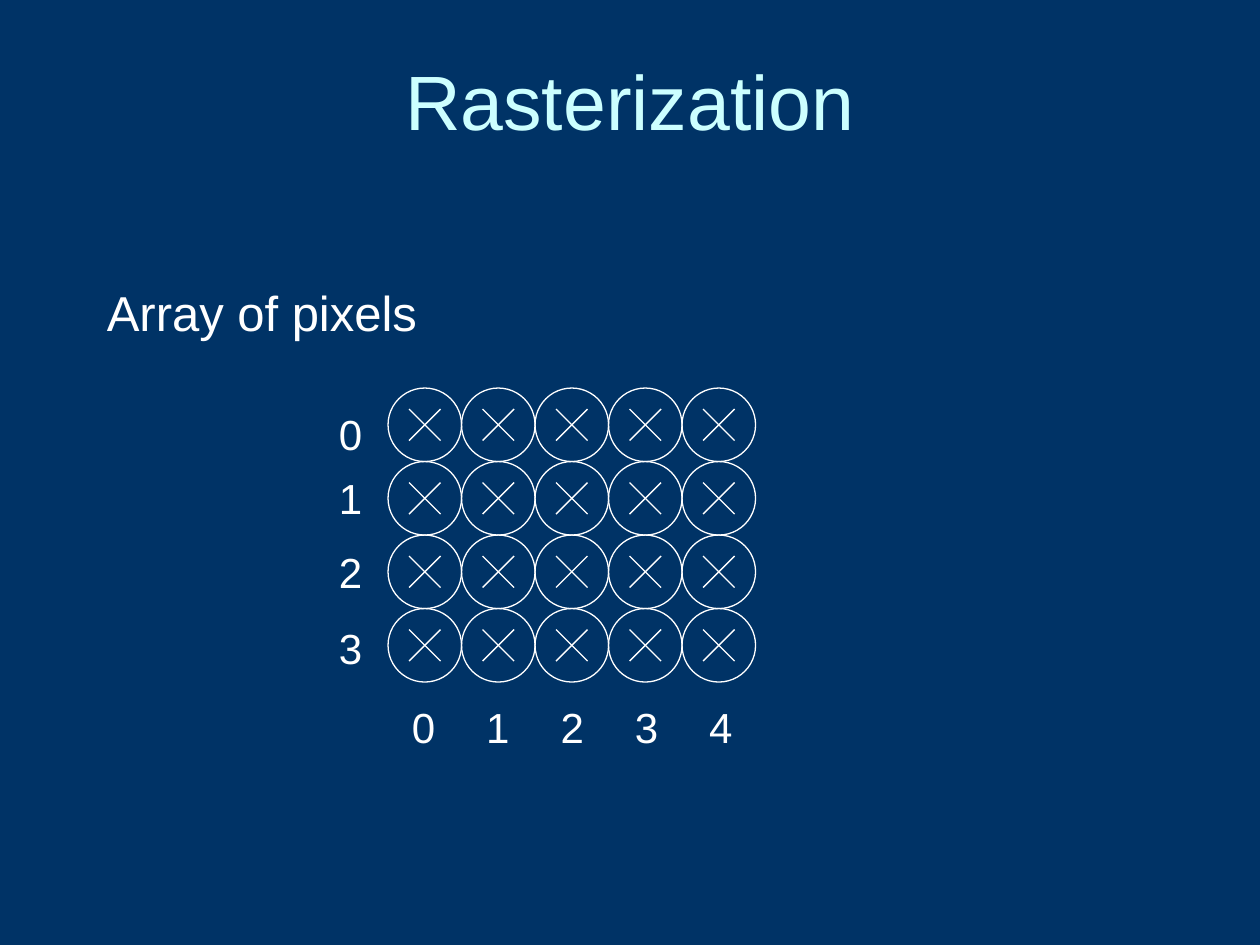
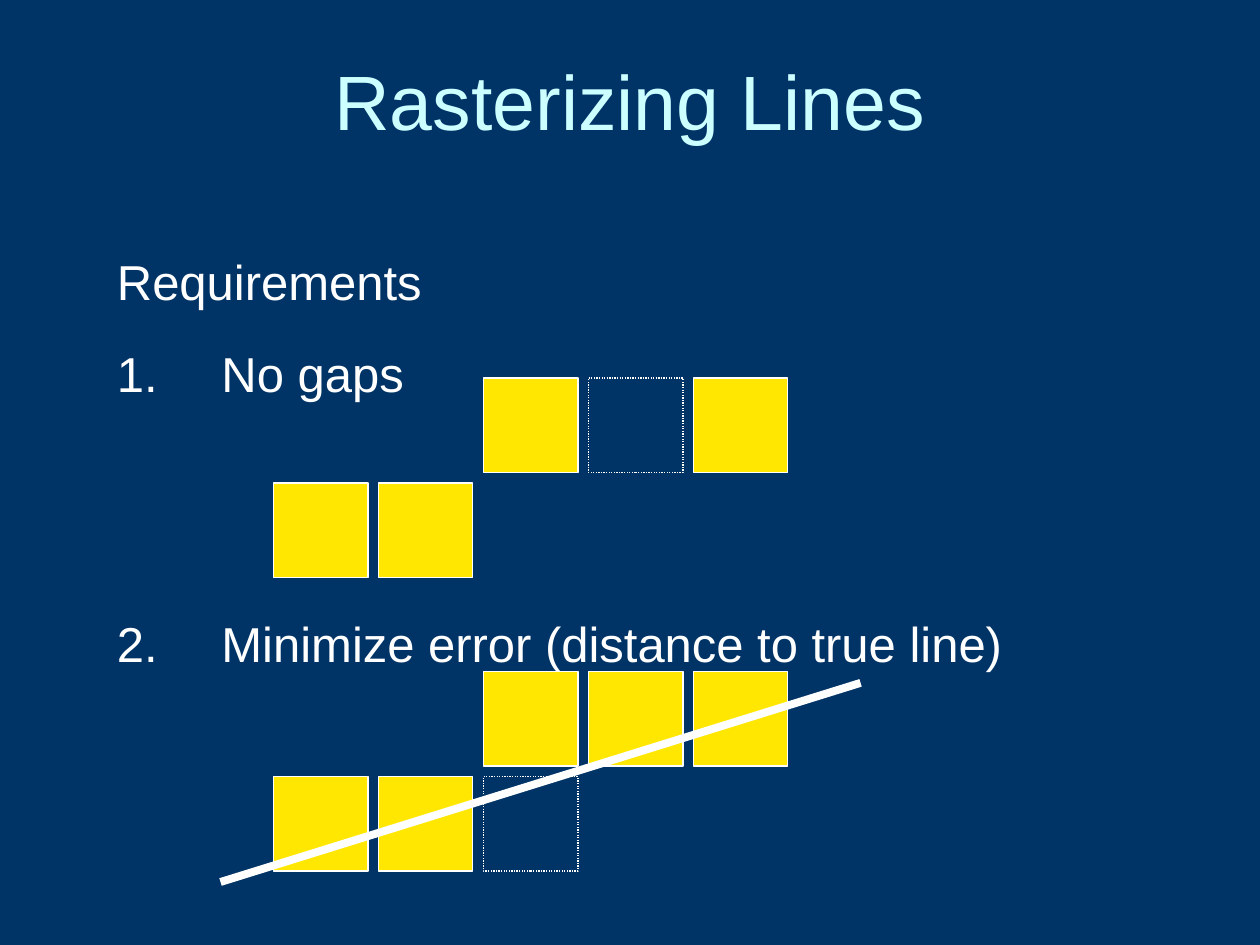
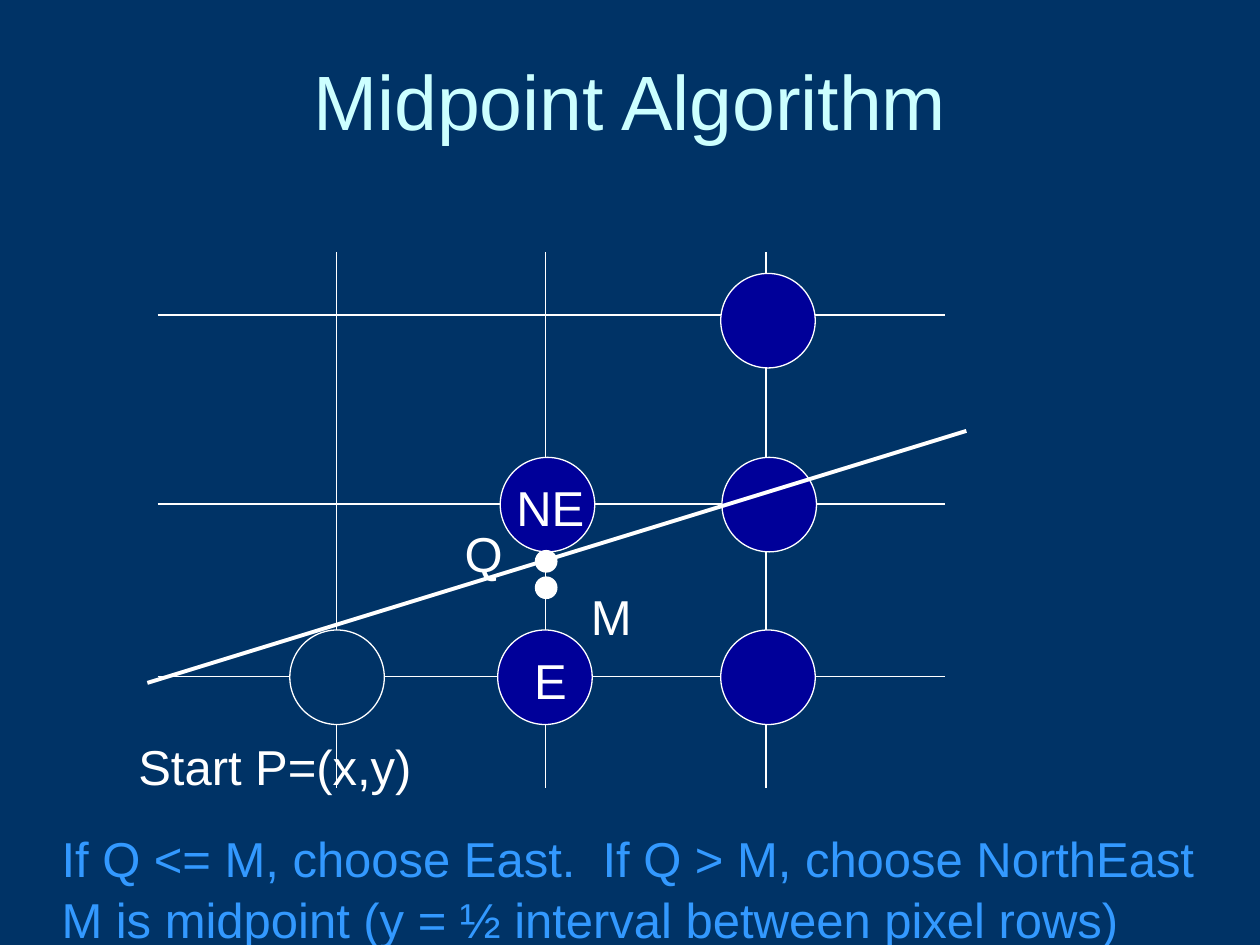
from dataclasses import dataclass

from lxml import etree
from pptx import Presentation
from pptx.dml.color import RGBColor
from pptx.enum.dml import MSO_LINE
from pptx.enum.shapes import MSO_CONNECTOR, MSO_SHAPE
from pptx.enum.text import MSO_ANCHOR, MSO_AUTO_SIZE, PP_ALIGN
from pptx.oxml.ns import qn
from pptx.util import Inches, Pt

ELLIPSE = MSO_SHAPE.OVAL
SQUARE = MSO_SHAPE.RECTANGLE
STRAIGHT = MSO_CONNECTOR.STRAIGHT
DOTTED = MSO_LINE.ROUND_DOT
CENTER = PP_ALIGN.CENTER
LEFT = PP_ALIGN.LEFT
MIDDLE = MSO_ANCHOR.MIDDLE
TOP = MSO_ANCHOR.TOP
FIT_SHAPE = MSO_AUTO_SIZE.SHAPE_TO_FIT_TEXT
NO_FIT = MSO_AUTO_SIZE.NONE


@dataclass(frozen=True)
class Theme:
    font: str = "Arial"
    background: str = "003366"
    title: str = "CCFFFF"
    ink: str = "FFFFFF"
    rule: str = "3399FF"
    lit: str = "FFE701"
    candidate: str = "000099"
    title_size: float = 44
    body_size: float = 28
    index_size: float = 24
    line_spacing: float = 1.05
    thin: float = 0.75
    medium: float = 2.25
    thick: float = 4.5


THEME = Theme()


def color(value):
    return RGBColor.from_string(value)


def write_text(frame, text, size=THEME.body_size, ink=THEME.ink, align=LEFT,
               anchor=TOP, wrap=False, fit=FIT_SHAPE, before=(), numbered=(), indent=0):
    frame.word_wrap = wrap
    frame.auto_size = fit
    frame.vertical_anchor = anchor
    for index, line in enumerate(text.split("\n")):
        paragraph = frame.add_paragraph() if index else frame.paragraphs[0]
        paragraph.alignment = align
        paragraph.line_spacing = THEME.line_spacing
        if before:
            paragraph.space_before = Pt(before[index])
        if index in numbered:
            properties = paragraph._p.get_or_add_pPr()
            properties.set("marL", str(Inches(indent)))
            properties.set("indent", str(-Inches(indent)))
            bullet = etree.SubElement(properties, qn("a:buAutoNum"))
            bullet.set("type", "arabicPeriod")
        run = paragraph.add_run()
        run.text = line
        run.font.name = THEME.font
        run.font.size = Pt(size)
        run.font.color.rgb = color(ink)


class Deck:
    def __init__(self, theme):
        self.theme = theme
        self.presentation = Presentation()
        self.presentation.slide_width = Inches(10)
        self.presentation.slide_height = Inches(7.5)
        fill = self.presentation.slide_master.background.fill
        fill.solid()
        fill.fore_color.rgb = color(theme.background)
        self.shapes = None

    def new_slide(self, heading):
        layout = self.presentation.slide_layouts.get_by_name("Title Only")
        self.shapes = self.presentation.slides.add_slide(layout).shapes
        title = self.shapes.title
        title.left, title.top = Inches(0.5), Inches(0.3)
        title.width, title.height = Inches(9), Inches(0.95)
        write_text(title.text_frame, heading, size=self.theme.title_size,
                   ink=self.theme.title, align=CENTER, anchor=MIDDLE, wrap=True, fit=NO_FIT)

    def text(self, text, left, top, width, height, **text_format):
        box = self.shapes.add_textbox(Inches(left), Inches(top), Inches(width), Inches(height))
        write_text(box.text_frame, text, **text_format)

    def shape(self, kind, left, top, size, fill=None, dash=None):
        shape = self.shapes.add_shape(kind, Inches(left), Inches(top), Inches(size), Inches(size))
        shape.shadow.inherit = False
        if fill:
            shape.fill.solid()
            shape.fill.fore_color.rgb = color(fill)
        else:
            shape.fill.background()
        shape.line.color.rgb = color(self.theme.ink)
        shape.line.width = Pt(self.theme.thin)
        if dash:
            shape.line.dash_style = dash

    def line(self, x1, y1, x2, y2, width=THEME.thin):
        line = self.shapes.add_connector(STRAIGHT, Inches(x1), Inches(y1), Inches(x2), Inches(y2))
        line.line.color.rgb = color(self.theme.ink)
        line.line.width = Pt(width)
        etree.SubElement(line._element.spPr, qn("a:effectLst"))

    def crossed_pixel(self, left, top, size):
        page = self.shapes
        self.shapes = page.add_group_shape().shapes
        near, far = size * 2 / 7, size * 5 / 7
        self.shape(ELLIPSE, left, top, size)
        self.line(left + near, top + far, left + far, top + near)
        self.line(left + near, top + near, left + far, top + far)
        self.shapes = page

    def squares(self, cells, left, top, fill=None, dash=None):
        pitch = 5 / 6
        for column, row in cells:
            self.shape(SQUARE, left + column * pitch, top + row * pitch, 0.75, fill, dash)


def rasterization(deck):
    deck.new_slide("Rasterization")
    deck.text("Array of pixels", 0.75, 2.17, 8.75, 0.75, wrap=True, fit=NO_FIT)
    pitch = 7 / 12
    for row in range(4):
        for column in range(5):
            deck.crossed_pixel(3.08 + column * pitch, 3.08 + row * pitch, pitch)
    for row, top in enumerate((3.17, 3.68, 4.27, 4.87)):
        deck.text(str(row), 2.59, top, 0.38, 0.5, size=deck.theme.index_size)
    for column in range(5):
        deck.text(str(column), 3.17 + column * 0.59, 5.5, 0.38, 0.5, size=deck.theme.index_size)


def rasterizing_lines(deck):
    deck.new_slide("Rasterizing Lines")
    deck.text("Requirements\nNo gaps\nMinimize error (distance to true line)",
              0.83, 1.92, 8.33, 3.41, wrap=True, before=(0, 17.5, 119),
              numbered=(1, 2), indent=0.83)
    left, gap_top, error_top = 2.17, 3, 5.33
    lit = deck.theme.lit
    deck.squares([(0, 1), (1, 1), (2, 0), (3, 0), (4, 0)], left, error_top, fill=lit)
    deck.squares([(0, 1), (1, 1), (2, 0), (4, 0)], left, gap_top, fill=lit)
    deck.squares([(3, 0)], left, gap_top, dash=DOTTED)
    deck.line(1.75, 7, 6.83, 5.42, deck.theme.thick)
    deck.squares([(2, 1)], left, error_top, dash=DOTTED)


def midpoint_algorithm(deck):
    deck.new_slide("Midpoint Algorithm")
    theme = deck.theme
    for y in (2.5, 4, 5.37):
        deck.line(1.25, y, 7.5, y)
    for x in (2.67, 4.33, 6.08):
        deck.line(x, 2, x, 6.25)
    for left, top in ((5.72, 2.17), (3.97, 3.63), (5.73, 3.63), (3.95, 5), (5.72, 5)):
        deck.shape(ELLIPSE, left, top, 0.75, theme.candidate)
    deck.shape(ELLIPSE, 2.3, 5, 0.75, theme.background)
    deck.line(1.17, 5.42, 7.67, 3.42, theme.medium)
    for top in (4.37, 4.58):
        deck.shape(ELLIPSE, 4.25, top, 0.17, theme.ink)
    for label, left, top, width in (
        ("NE", 4, 3.72, 0.74),
        ("E", 4.14, 5.09, 0.46),
        ("Start P=(x,y)", 1, 5.77, 2.37),
        ("M", 4.59, 4.58, 0.52),
        ("Q", 3.59, 4.08, 0.5),
    ):
        deck.text(label, left, top, width, 0.57)
    deck.text("If Q <= M, choose East.  If Q > M, choose NorthEast\n"
              "M is midpoint (y = ½ interval between pixel rows)",
              0.39, 6.5, 9.19, 1.04, ink=theme.rule)


def main():
    deck = Deck(THEME)
    rasterization(deck)
    rasterizing_lines(deck)
    midpoint_algorithm(deck)
    deck.presentation.save("out.pptx")


if __name__ == "__main__":
    main()
